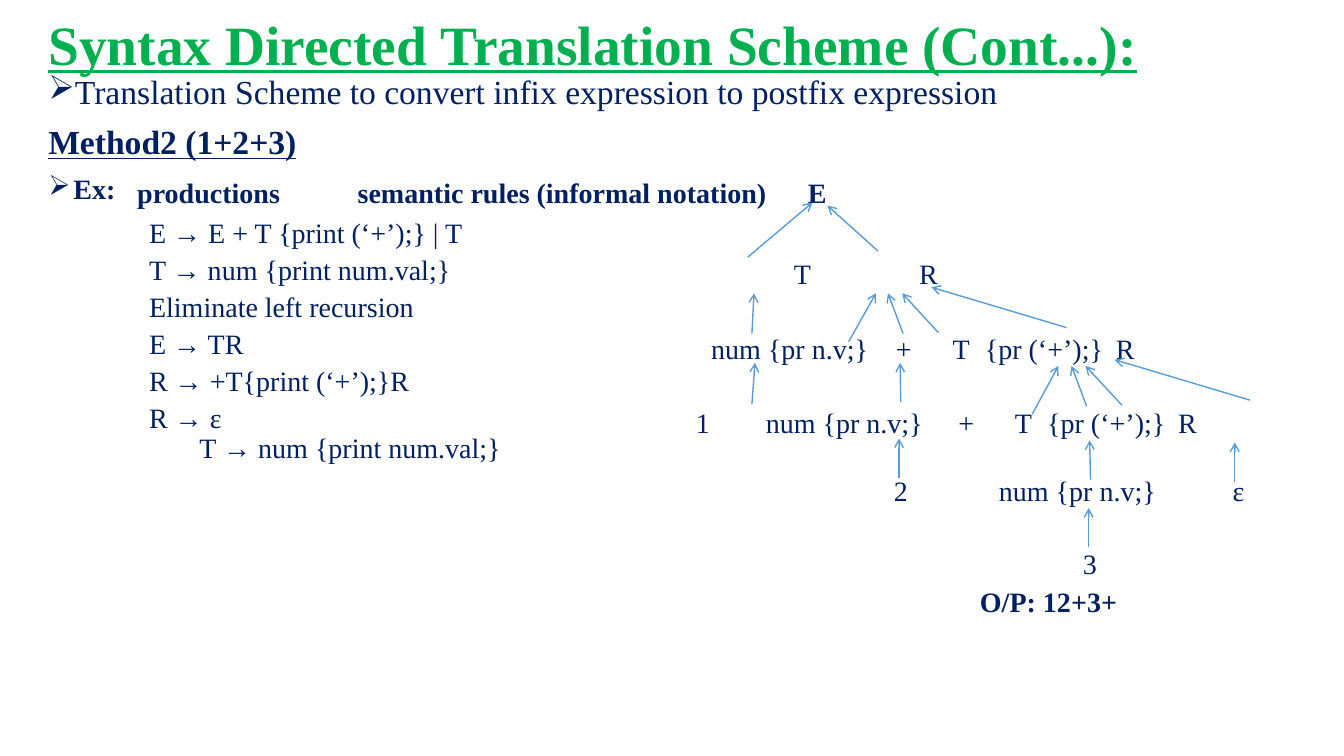
from lxml.etree import SubElement
from pptx import Presentation
from pptx.dml.color import RGBColor
from pptx.enum.shapes import MSO_CONNECTOR
from pptx.enum.text import MSO_ANCHOR
from pptx.oxml.ns import qn
from pptx.util import Pt

# Content
TITLE = "Syntax Directed Translation Scheme (Cont...):"

# text, style, left indent, space before
OUTLINE = [
    ("Translation Scheme to convert infix expression to postfix expression", "topic", 18, 0),
    ("Method2 (1+2+3)", "method", 0, 10),
    ("Ex:", "example", 18, 10),
    ("E → E + T {print (‘+’);} | T", "rule", 72, 10),
    ("T → num {print num.val;}", "rule", 72, 5),
    ("Eliminate left recursion", "rule", 72, 5),
    ("E → TR", "rule", 72, 5),
    ("R → +T{print (‘+’);}R", "rule", 72, 5),
    ("R → ε", "rule", 72, 5),
    ("T → num {print num.val;}", "rule", 108, 0),
]

# baseline, then (left, text) pairs
HEADINGS = (143, [(98, "productions"), (255.5, "semantic rules (informal notation)"), (577, "E")])
RESULT = (435, [(700, "O/P: 12+3+")])
EXPANSION = [(0, "+"), (40.5, "T"), (63.5, "{pr (‘+’);}"), (157, "R")]


def expand(left):
    return [(left + offset, symbol) for offset, symbol in EXPANSION]


TREE = [
    (201, [(567, "T"), (656.5, "R")]),
    (254.5, [(508, "num {pr n.v;}")] + expand(640)),
    (307.5, [(497, "1"), (547, "num {pr n.v;}")] + expand(684.5)),
    (356, [(638.5, "2"), (713.5, "num {pr n.v;}"), (880.5, "ε")]),
    (408.5, [(773.5, "3")]),
]

# child x, y, parent x, y
BRANCHES = [
    (534.2, 183.6, 580.3, 144.7), (627.1, 179.3, 591.1, 146.9),
    (645.1, 238.3, 634.3, 209.5), (606.2, 244.1, 625.7, 209.5),
    (670.3, 237.6, 644.4, 209.5), (537.1, 238.3, 538.6, 209.5),
    (537.1, 288.7, 539.3, 259.2), (643.4, 287.3, 643, 259.2),
    (642.2, 341.3, 642.2, 313.2), (761.8, 234, 665.3, 205.2),
    (776.2, 290.2, 765.4, 261.4), (737.3, 295.9, 756, 261.4),
    (801.4, 289.4, 775.4, 261.4), (892.8, 285.8, 796.3, 257),
    (779, 342.7, 778.3, 314.6), (777.6, 391, 777.6, 362.9),
    (882, 344.2, 882, 316.1),
]

# Theme: style is size, colour, bold, underline
THEME = {
    "font": "Times New Roman",
    "title": (39.6, "00B050", True, True),
    "topic": (24, "002060", False, False),
    "method": (24, "002060", True, True),
    "example": (20, "002060", True, False),
    "rule": (20, "002060", False, False),
    "branch": "5B9BD5",
}
LINE_HEIGHT = 1.07
ASCENT = 0.89

deck = Presentation()
deck.slide_width, deck.slide_height = Pt(960), Pt(540)
slide = deck.slides.add_slide(deck.slide_layouts[6])


def text_frame_at(left, top, width, height, inset_x=0, inset_y=0):
    frame = slide.shapes.add_textbox(Pt(left), Pt(top), Pt(width), Pt(height)).text_frame
    frame.word_wrap = True
    frame.margin_left = frame.margin_right = Pt(inset_x)
    frame.margin_top = frame.margin_bottom = Pt(inset_y)
    return frame


def write(paragraph, text, style):
    paragraph.text = text
    size, color, bold, underline = THEME[style]
    for run in paragraph.runs:
        run.font.name = THEME["font"]
        run.font.size = Pt(size)
        run.font.color.rgb = RGBColor.from_string(color)
        run.font.bold = bold
        run.font.underline = underline


def write_row(row, style):
    baseline, labels = row
    size = THEME[style][0]
    for left, label in labels:
        frame = text_frame_at(left, baseline - ASCENT * size, 11 * len(label) + 10, 23)
        write(frame.paragraphs[0], label, style)


# Title
title = text_frame_at(27.4, 13.7, 866, 41, 7.2, 3.6)
title.vertical_anchor = MSO_ANCHOR.MIDDLE
write(title.paragraphs[0], TITLE, "title")
title.paragraphs[0].line_spacing = 0.9

# Outline and grammar rules
outline = text_frame_at(27.4, 50.4, 895, 472, 7.2, 3.6)
for index, (line, style, indent, space) in enumerate(OUTLINE):
    paragraph = outline.add_paragraph() if index else outline.paragraphs[0]
    write(paragraph, line, style)
    paragraph.space_before = Pt(space)
    paragraph.line_spacing = Pt(round(LINE_HEIGHT * THEME[style][0], 1))
    properties = paragraph._p.get_or_add_pPr()
    properties.set("marL", str(Pt(indent)))
    if style in ("topic", "example"):
        properties.set("indent", str(-Pt(indent)))
        SubElement(properties, qn("a:buChar")).set("char", "➢")

# Column headings, parse tree and its output
write_row(HEADINGS, "example")
for level in TREE:
    write_row(level, "rule")
write_row(RESULT, "example")

# Arrows from child to parent
for ends in BRANCHES:
    branch = slide.shapes.add_connector(MSO_CONNECTOR.STRAIGHT, *map(Pt, ends))
    branch.line.color.rgb = RGBColor.from_string(THEME["branch"])
    branch.line.width = Pt(1)
    SubElement(branch.line._get_or_add_ln(), qn("a:tailEnd")).set("type", "arrow")
    SubElement(branch._element.spPr, qn("a:effectLst"))

deck.save("out.pptx")
